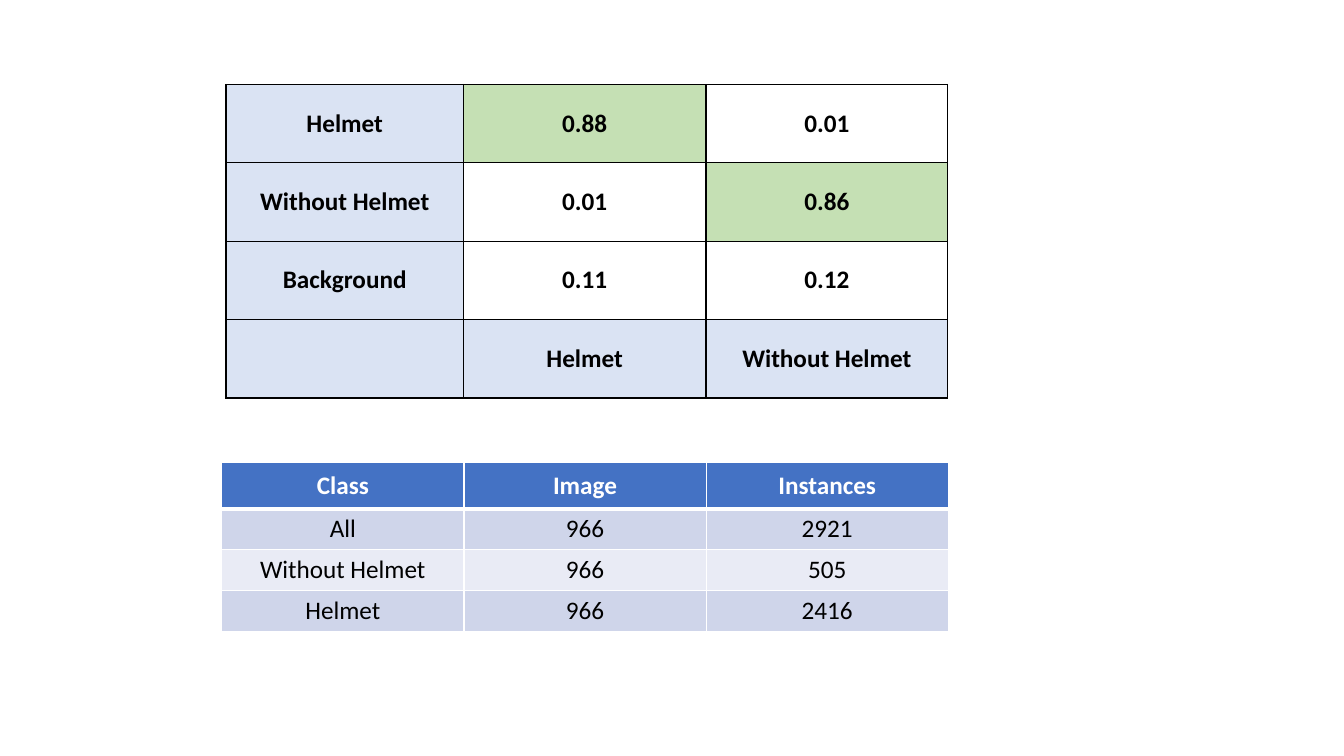
from dataclasses import dataclass

from lxml import etree
from pptx import Presentation
from pptx.dml.color import RGBColor
from pptx.enum.text import MSO_ANCHOR, PP_ALIGN
from pptx.oxml.ns import qn
from pptx.util import Pt

CENTER = PP_ALIGN.CENTER
MIDDLE = MSO_ANCHOR.MIDDLE


@dataclass(frozen=True)
class Theme:
    font: str = "Calibri"
    size: int = 18
    black: str = "000000"
    white: str = "FFFFFF"
    label: str = "DAE3F3"
    match: str = "C5E0B4"
    header: str = "4472C4"
    bands: tuple = ("CFD5EA", "E9EBF5")


THEME = Theme()

CONFUSION = [
    ["Helmet", "0.88", "0.01"],
    ["Without Helmet", "0.01", "0.86"],
    ["Background", "0.11", "0.12"],
    ["", "Helmet", "Without Helmet"],
]
COUNTS = [
    ["Class", "Image", "Instances"],
    ["All", "966", "2921"],
    ["Without Helmet", "966", "505"],
    ["Helmet", "966", "2416"],
]


def set_borders(cell, color, widths):
    tc_pr = cell._tc.get_or_add_tcPr()
    for side, width in zip("LRTB", widths):
        ln = etree.SubElement(tc_pr, qn(f"a:ln{side}"), w=str(Pt(width)))
        fill = etree.SubElement(ln, qn("a:solidFill"))
        etree.SubElement(fill, qn("a:srgbClr"), val=color)


def fill_cell(cell, text, style):
    set_borders(cell, style["border"], style["widths"])
    cell.fill.solid()
    cell.fill.fore_color.rgb = RGBColor.from_string(style["fill"])
    cell.vertical_anchor = MIDDLE
    p = cell.text_frame.paragraphs[0]
    p.alignment = CENTER
    if text:
        r = p.add_run()
        r.text = text
        font = {"name": THEME.font, "size": Pt(THEME.size), "bold": style["bold"]}
        for name, value in font.items():
            setattr(r.font, name, value)
        r.font.color.rgb = RGBColor.from_string(style["color"])


def add_grid(s, data, left, top, widths, heights, style_of, has_header):
    frame = s.shapes.add_table(len(heights), len(widths), Pt(left), Pt(top),
                               Pt(sum(widths)), Pt(sum(heights)))
    table = frame.table
    flags = {"first_row": has_header, "horz_banding": has_header}
    for name, value in flags.items():
        setattr(table, name, value)
    for column, width in zip(table.columns, widths):
        column.width = Pt(width)
    for row, height in zip(table.rows, heights):
        row.height = Pt(height)
    for i, texts in enumerate(data):
        for j, text in enumerate(texts):
            fill_cell(table.cell(i, j), text, style_of(i, j))


def confusion_style(row, col):
    if col == 0 or row == len(CONFUSION) - 1:
        fill = THEME.label
    else:
        fill = THEME.match if col == row + 1 else THEME.white
    return {"fill": fill, "color": THEME.black, "bold": True,
            "border": THEME.black, "widths": (1, 1, 1, 1)}


def counts_style(row, col):
    is_header = row == 0
    return {"fill": THEME.header if is_header else THEME.bands[(row - 1) % 2],
            "color": THEME.white if is_header else THEME.black,
            "bold": is_header, "border": THEME.white,
            "widths": (1, 1, 3 if row == 1 else 1, 3 if is_header else 1)}


def main():
    prs = Presentation()
    prs.slide_width, prs.slide_height = Pt(960), Pt(540)
    s = prs.slides.add_slide(prs.slide_layouts[6])
    add_grid(s, CONFUSION, 161.5, 60.3, [169.5, 173.3, 172.8], [56] * 4,
             confusion_style, False)
    add_grid(s, COUNTS, 158.4, 330, [173] * 3, [33.4] + [29.2] * 3,
             counts_style, True)
    prs.save("out.pptx")


if __name__ == "__main__":
    main()
